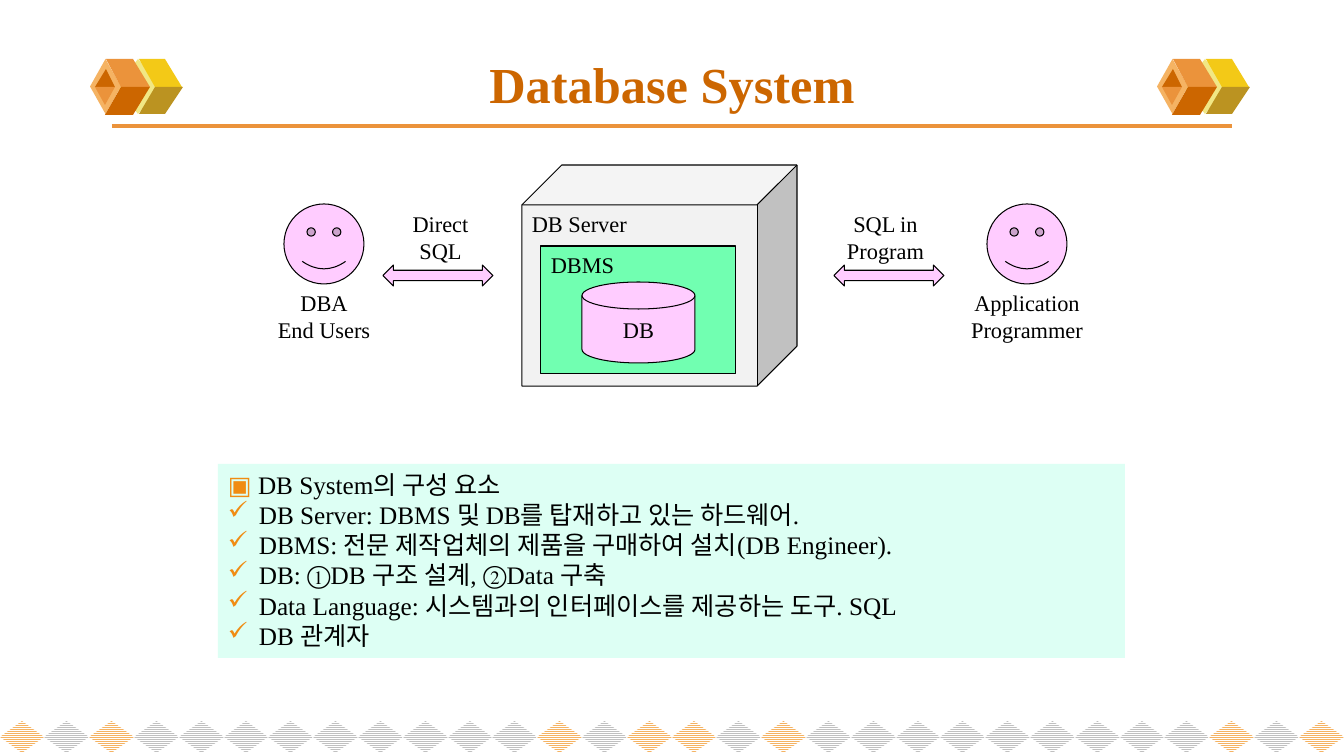
"""Build the Database System slide."""
from lxml import etree
from pptx import Presentation, util as u
from pptx.dml.color import RGBColor
from pptx.enum import dml, shapes, text
from pptx.oxml import ns

SCALE = u.Inches(1) / 100.8
WIDTH, HEIGHT = 1344, 756
FONT = "Times New Roman"
BLACK = RGBColor(0x00, 0x00, 0x00)
WHITE = RGBColor(0xFF, 0xFF, 0xFF)
BROWN = RGBColor(0xCC, 0x66, 0x00)
ORANGE = RGBColor(0xEB, 0x93, 0x3B)
PEACH = RGBColor(0xF5, 0xB3, 0x63)
GRAY = RGBColor(0xC0, 0xC0, 0xC0)
CREAM = RGBColor(0xF1, 0xE7, 0x85)
YELLOW = RGBColor(0xF3, 0xC9, 0x17)
OLIVE = RGBColor(0xBB, 0x93, 0x21)
PINK = RGBColor(0xFF, 0xCC, 0xFF)
GREEN = RGBColor(0x71, 0xFF, 0xB1)
MINT = RGBColor(0xDD, 0xFF, 0xF4)
SILVER = RGBColor(0xF2, 0xF2, 0xF2)
ACCENT = RGBColor(0xF0, 0x8C, 0x12)
KINDS = shapes.MSO_SHAPE
TOP, MIDDLE = text.MSO_ANCHOR.TOP, text.MSO_ANCHOR.MIDDLE
LEFT, CENTER = text.PP_ALIGN.LEFT, text.PP_ALIGN.CENTER


def draw(kind, place, fill, outline=None):
    """Add a preset shape, or a freeform when kind is None."""
    if kind is None:
        builder = page.shapes.build_freeform(*place[0], scale=SCALE)
        builder.add_line_segments(place[1:])
        shape = builder.convert_to_shape()
    else:
        shape = page.shapes.add_shape(kind, *[round(n * SCALE) for n in place])
    shape.shadow.inherit = False
    shape.fill.solid()
    shape.fill.fore_color.rgb = fill
    if outline is None:
        shape.line.fill.background()
    else:
        shape.line.color.rgb = outline
        shape.line.width = u.Pt(0.75)
    return shape


def write(words, shape=None, place=None, size=16, color=BLACK, bold=False,
          align=LEFT, anchor=TOP, mark=""):
    """Write lines into a shape, or into a new text box at place."""
    box = shape or page.shapes.add_textbox(*[round(n * SCALE) for n in place])
    frame = box.text_frame
    frame.word_wrap = True
    frame.vertical_anchor = anchor
    for number, line in enumerate(words.split("\n")):
        para = frame.add_paragraph() if number else frame.paragraphs[0]
        para.alignment = align
        lead = mark if number == 0 else ""
        for part, shade in ((lead, ACCENT), (line, color)):
            if part:
                span = para.add_run()
                span.text = part
                span.font.name = FONT
                span.font.size = u.Pt(size)
                span.font.bold = bold
                span.font.color.rgb = shade
    return frame


deck = Presentation()
deck.slide_width, deck.slide_height = round(WIDTH * SCALE), round(HEIGHT * SCALE)
page = deck.slides.add_slide(deck.slide_layouts[6])

COLUMNS = 30
ORANGE_COLUMNS = {0, 2, 12, 14, 15, 17, 27, 29}
for column in range(COLUMNS):
    start, end = (WIDTH * edge // COLUMNS for edge in (column, column + 1))
    diamond = draw(KINDS.DIAMOND, (start, 721, end - start, 32), WHITE)
    diamond.fill.patterned()
    diamond.fill.pattern = dml.MSO_PATTERN.NARROW_HORIZONTAL
    diamond.fill.fore_color.rgb = PEACH if column in ORANGE_COLUMNS else GRAY
    diamond.fill.back_color.rgb = WHITE

rule = page.shapes.add_connector(
    shapes.MSO_CONNECTOR.STRAIGHT, *[round(n * SCALE) for n in (112, 126, 1232, 126)])
rule.line.color.rgb = ORANGE
rule.line.width = u.Pt(2.25)
etree.SubElement(rule._element.spPr, ns.qn("a:effectLst"))

GEM = [
    (KINDS.DIAMOND, (116, 59, 44, 55), CREAM),
    (None, ((155, 87), (182, 87), (165, 59), (139, 59)), YELLOW),
    (None, ((155, 87), (183, 87), (165, 114), (139, 114)), OLIVE),
    (KINDS.DIAMOND, (90, 59, 31, 55), PEACH),
    (None, ((121, 87), (150, 87), (133, 59), (106, 59)), ORANGE),
    (None, ((121, 87), (150, 87), (133, 115), (105, 115)), BROWN),
    (None, ((106, 69), (95, 87), (115, 87)), BROWN),
    (None, ((105, 105), (95, 87), (115, 87)), ORANGE),
]
for shift in (0, 1067):
    for kind, place, fill in GEM:
        if kind is None:
            moved = [(x + shift, y) for x, y in place]
        else:
            moved = (place[0] + shift, *place[1:])
        draw(kind, moved, fill)

write("Database System", place=(67, 40, 1210, 86), size=36, color=BROWN,
      bold=True, align=CENTER, anchor=MIDDLE)

server = draw(KINDS.CUBE, (522, 165, 275, 221), SILVER, BLACK)
server.adjustments[0] = 0.18
write("DB Server", server)
dbms = draw(KINDS.RECTANGLE, (541, 246, 195, 128), GREEN, BLACK)
write("DBMS", dbms)
database = draw(KINDS.FLOWCHART_MAGNETIC_DISK, (582, 282, 113, 81), PINK, BLACK)
write("DB", database, align=CENTER, anchor=MIDDLE)

for face_left, role, arrow_left, label_left, label in (
        (284, "DBA\nEnd Users", 383, 362, "Direct\nSQL"),
        (987, "Application\nProgrammer", 834, 807, "SQL in\nProgram")):
    draw(KINDS.SMILEY_FACE, (face_left, 204, 80, 80), PINK, BLACK)
    write(role, place=(face_left - 43, 284, 166, 64), align=CENTER)
    draw(KINDS.LEFT_RIGHT_ARROW, (arrow_left, 265, 110, 21), PINK, BLACK)
    write(label, place=(label_left, 205, 157, 64), align=CENTER)

PARTS = """DB System의 구성 요소
DB Server: DBMS 및 DB를 탑재하고 있는 하드웨어.
DBMS: 전문 제작업체의 제품을 구매하여 설치(DB Engineer).
DB: ①DB 구조 설계, ②Data 구축
Data Language: 시스템과의 인터페이스를 제공하는 도구. SQL
DB 관계자"""
panel = draw(KINDS.RECTANGLE, (218, 464, 907, 194), MINT)
frame = write(PARTS, panel, size=18, mark="▣ ")
INDENT = round(31 * SCALE)
for para in frame.paragraphs[1:]:
    props = para._p.get_or_add_pPr()
    props.set("marL", str(INDENT))
    props.set("indent", str(-INDENT))
    tint = etree.SubElement(props, ns.qn("a:buClr"))
    etree.SubElement(tint, ns.qn("a:srgbClr"), val=str(ACCENT))
    etree.SubElement(props, ns.qn("a:buChar"), char="✓")

deck.save("out.pptx")
